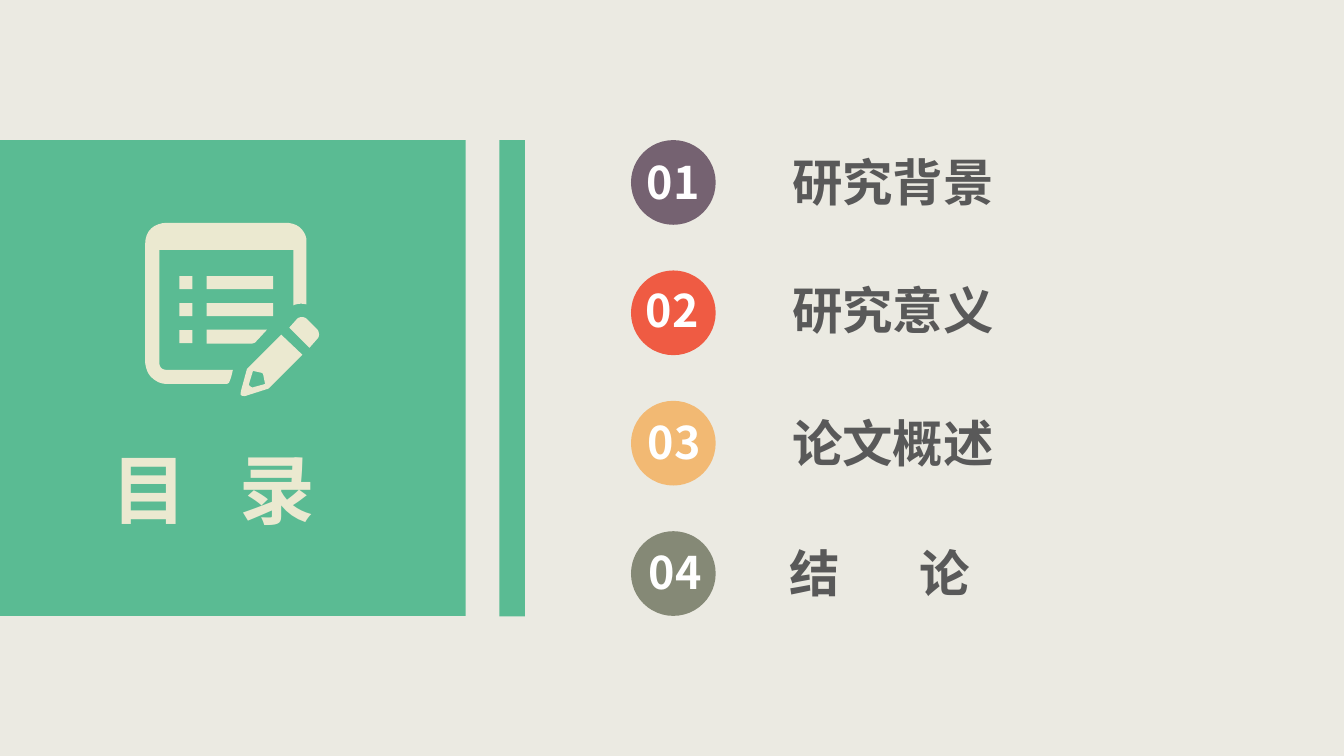
from lxml.etree import SubElement
from pptx import Presentation
from pptx.dml.color import RGBColor
from pptx.enum.shapes import MSO_SHAPE
from pptx.enum.text import MSO_ANCHOR, MSO_AUTO_SIZE, PP_ALIGN
from pptx.oxml.ns import qn
from pptx.util import Inches, Pt

HUES = {
    "back": "EBEAE2", "green": "5ABB93", "cream": "EBE9D0", "ink": "595959",
    "white": "FFFFFF", "plum": "756271", "red": "EF5B43", "gold": "F2B973",
    "moss": "858976",
}
COLS, ROWS = 160, 90


def trace(curve):
    """Turn 2-number points and 6-number Bezier curves into plain points."""
    pts = []
    for seg in curve:
        if len(seg) == 2:
            pts.append(seg)
            continue
        ends = [pts[-1], seg[:2], seg[2:4], seg[4:]]
        for n in range(1, 9):
            t = n / 8
            parts = ((1 - t) ** 3, 3 * t * (1 - t) ** 2,
                     3 * t * t * (1 - t), t ** 3)
            pts.append(tuple(sum(w * e[k] for w, e in zip(parts, ends))
                             for k in (0, 1)))
    return [(10 * x, 10 * y) for x, y in pts]


class Page:
    font = "Noto Sans CJK SC"

    def __init__(self, deck):
        self.slide = deck.slides.add_slide(deck.slide_layouts[5])
        self.col = deck.slide_width / COLS
        self.row = deck.slide_height / ROWS
        fill = self.slide.background.fill
        fill.solid()
        fill.fore_color.rgb = self.hue("back")

    def hue(self, name):
        return RGBColor.from_string(HUES[name])

    def place(self, x, y, w, h):
        return [int(v) for v in (x * self.col, y * self.row,
                                 w * self.col, h * self.row)]

    def paint(self, shape, hue):
        shape.shadow.inherit = False
        shape.fill.solid()
        shape.fill.fore_color.rgb = self.hue(hue)
        shape.line.fill.background()

    def block(self, area, hue, kind=MSO_SHAPE.RECTANGLE):
        self.paint(self.slide.shapes.add_shape(kind, *self.place(*area)), hue)

    def outline(self, x, y, step, hue, *curves):
        """Fill closed curves drawn in steps (shares of a column) from x, y."""
        first, *rest = [trace(c) for c in curves]
        pen = self.slide.shapes.build_freeform(
            *first[0], scale=step * self.col / 10)
        pen.add_line_segments(first[1:])
        for pts in rest:
            pen.move_to(*pts[0])
            pen.add_line_segments(pts[1:])
        left, top = self.place(x, y, 0, 0)[:2]
        self.paint(pen.convert_to_shape(left, top), hue)

    def letter(self, box, text, size, hue, align=PP_ALIGN.LEFT, tab=None):
        """Set one styled line of text in a box."""
        frame = box.text_frame
        frame.word_wrap = True
        frame.auto_size = MSO_AUTO_SIZE.NONE
        frame.vertical_anchor = MSO_ANCHOR.TOP
        para = frame.paragraphs[0]
        para.alignment = align
        if tab:
            stops = SubElement(para._p.get_or_add_pPr(), qn("a:tabLst"))
            SubElement(stops, qn("a:tab"), pos=str(int(tab * self.col)),
                       algn="l")
        run = para.add_run()
        run.text = text
        font = run.font
        font.size, font.bold, font.name = Pt(size), True, self.font
        font.color.rgb = self.hue(hue)
        SubElement(run._r.get_or_add_rPr(), qn("a:ea"), typeface=self.font)

    def text(self, area, *args, **style):
        box = self.slide.shapes.add_textbox(*self.place(*area))
        self.letter(box, *args, **style)

    def title(self, area, *args, **style):
        box = self.slide.shapes.title
        box.left, box.top, box.width, box.height = self.place(*area)
        box.element.getparent().append(box.element)  # in front of the panel
        self.letter(box, *args, **style)


def draw_icon(page):
    x, y, step = 17.28, 26.52, 0.12
    frame = [(87, 146), (86, 151, 85, 155, 83, 159), (81, 160), (22, 160),
             (18, 160, 14, 159, 11, 157), (4, 153, 1, 147, 0, 139), (0, 21),
             (0, 8, 9, 0, 22, 0), (139, 0), (150, 0, 158, 6, 160, 16),
             (160, 81), (156, 80, 151, 80, 147, 82), (147, 27), (14, 27),
             (14, 138), (14, 143, 16, 146, 22, 146)]
    body = [(135, 111), (156, 131), (124, 163), (123, 164, 122, 165, 121, 165),
            (99, 172), (98, 172, 96, 172, 95, 171),
            (94, 170, 95, 169, 95, 167), (101, 145), (103, 143)]
    tip = [(107, 147), (103, 160), (103, 161), (105, 163, 106, 164, 108, 163),
           (119, 160), (117, 150), (116, 149)]
    cap = [(143, 104), (151, 95), (154, 93, 157, 93, 160, 95), (171, 106),
           (173, 109, 173, 113, 171, 115), (163, 124)]
    short = [(61, 106), (121, 106), (109, 119), (106, 120), (61, 120)]
    for curves in ([frame], [body, tip], [short], [cap]):
        page.outline(x, y, step, "cream", *curves)
    side = 13 * step
    for n in range(3):
        top = y + (53 + 26.75 * n) * step
        page.block((x + 34 * step, top, side, side), "cream")
        if n < 2:
            page.block((x + 61 * step, top, 66 * step, side), "cream")


def main():
    deck = Presentation()
    deck.slide_width, deck.slide_height = Inches(13.33), Inches(7.5)
    page = Page(deck)
    page.block((0, 16.68, 55.44, 56.64), "green")
    page.block((59.46, 16.68, 3.04, 56.7), "green")
    draw_icon(page)
    page.title((12.12, 52.08, 28.8, 12.12), "目\t录", 54, "cream", tab=15.24)

    # label, hue, label left and top, number left and top, tab
    items = [
        ("研究背景", "plum", 93.12, 17.4, 75.36, 17.88, None),
        ("研究意义", "red", 93.12, 32.64, 75.24, 33.12, None),
        ("论文概述", "gold", 93.12, 48.48, 75.48, 48.84, None),
        ("结\t论", "moss", 92.76, 63.96, 75.6, 64.2, 15.48),
    ]
    for n, (label, hue, x, y, left, top, tab) in enumerate(items):
        page.text((x, y, 27, 8.52), label, 36, "ink", tab=tab)
        page.block((75.12, 16.68 + 15.52 * n, 10.08, 10.08), hue,
                   MSO_SHAPE.OVAL)
        page.text((left, top, 9.6, 7.68), f"{n + 1:02}", 32, "white",
                  align=PP_ALIGN.CENTER)
    deck.save("out.pptx")


if __name__ == "__main__":
    main()
